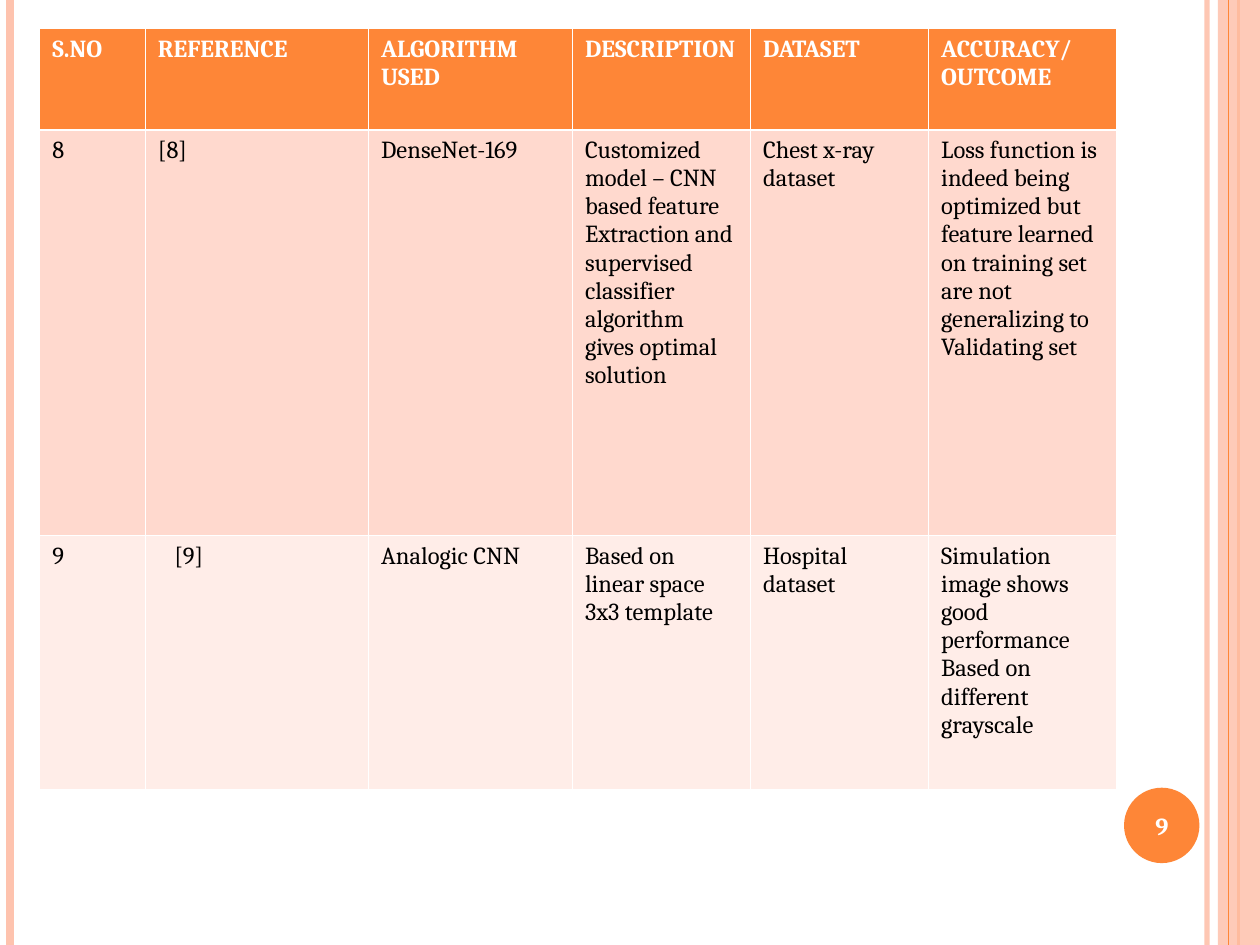
from lxml.etree import SubElement
from pptx import Presentation
from pptx.dml.color import RGBColor
from pptx.enum.shapes import MSO_CONNECTOR, MSO_SHAPE
from pptx.enum.text import MSO_ANCHOR, PP_ALIGN
from pptx.oxml.ns import qn
from pptx.util import Cm, Pt

ORANGE = RGBColor(0xFE, 0x86, 0x37)
PEACH = RGBColor(0xFE, 0xC3, 0xAE)
ROSE = RGBColor(0xFF, 0xD9, 0xCE)
BLUSH = RGBColor(0xFF, 0xED, 0xE8)
WHITE = RGBColor(0xFF, 0xFF, 0xFF)
BLACK = RGBColor(0, 0, 0)

FONT = "Cambria"
THIN, THICK = 0.45, 1.47
COLUMN_WIDTHS = [2.13, 4.5, 4.11, 3.59, 3.59, 3.78]
ROW_HEIGHTS = [2.04, 8.18, 5.11]
ROW_FILLS = [ORANGE, ROSE, BLUSH]
ROWS = [
    ["S.NO", "REFERENCE", "ALGORITHM USED", "DESCRIPTION", "DATASET",
     "ACCURACY/OUTCOME"],
    ["8", "[8]", "DenseNet-169",
     "Customized model – CNN based feature Extraction and supervised "
     "classifier algorithm gives optimal solution",
     "Chest x-ray dataset",
     "Loss function is indeed being optimized but feature learned on "
     "training set are not generalizing to Validating set"],
    ["9", "[9]", "Analogic CNN", "Based on linear space 3x3 template",
     "Hospital dataset",
     "Simulation image shows good performance\nBased on different grayscale"],
]


def set_opacity(fill_parent, percent):
    color = next(fill_parent.iter(qn("a:srgbClr")))
    SubElement(color, qn("a:alpha")).set("val", str(percent * 1000))


def style_paragraph(paragraph, color, bold):
    font = paragraph.font
    font.name, font.size, font.bold = FONT, Pt(14), bold
    font.color.rgb = color


def add_vertical_line(slide, x, top, height, color, width, opacity=100):
    line = slide.shapes.add_connector(
        MSO_CONNECTOR.STRAIGHT, Cm(x), Cm(top), Cm(x), Cm(top + height))
    line.line.color.rgb = color
    line.line.width = Pt(width)
    properties = line._element.spPr
    if opacity < 100:
        set_opacity(properties, opacity)
    SubElement(properties, qn("a:effectLst"))


def add_filled_shape(slide, kind, left, top, width, height, color):
    shape = slide.shapes.add_shape(
        kind, Cm(left), Cm(top), Cm(width), Cm(height))
    shape.shadow.inherit = False
    shape.fill.solid()
    shape.fill.fore_color.rgb = color
    shape.line.fill.background()
    return shape


def add_side_bands(slide, left, top, width, height):
    right = left + width
    add_vertical_line(slide, right - 1.07, top, height, PEACH, 3, 93)
    add_vertical_line(slide, left + 0.21, top, height, PEACH, 4.5)
    add_vertical_line(slide, right - 0.43, top, height, ORANGE, 1.5)
    band = add_filled_shape(
        slide, MSO_SHAPE.RECTANGLE, right - 0.85, top, 0.85, height, PEACH)
    set_opacity(band._element.spPr, 87)
    add_vertical_line(slide, right - 0.64, top, height, ORANGE, 0.75)


def set_borders(cell, top_width, bottom_width):
    properties = cell._tc.get_or_add_tcPr()
    widths = {"lnL": THIN, "lnR": THIN, "lnT": top_width, "lnB": bottom_width}
    for side, width in widths.items():
        border = SubElement(properties, qn(f"a:{side}"), w=str(Pt(width)))
        fill = SubElement(border, qn("a:solidFill"))
        SubElement(fill, qn("a:srgbClr"), val=str(WHITE))


def add_literature_table(slide, left, top):
    table = slide.shapes.add_table(
        len(ROWS), len(COLUMN_WIDTHS), Cm(left), Cm(top),
        Cm(sum(COLUMN_WIDTHS)), Cm(sum(ROW_HEIGHTS))).table
    for column, width in zip(table.columns, COLUMN_WIDTHS):
        column.width = Cm(width)
    for row_index, (row, height) in enumerate(zip(table.rows, ROW_HEIGHTS)):
        row.height = Cm(height)
        is_header = row_index == 0
        for cell, text in zip(row.cells, ROWS[row_index]):
            set_borders(cell, THICK if row_index == 1 else THIN,
                        THICK if is_header else THIN)
            cell.fill.solid()
            cell.fill.fore_color.rgb = ROW_FILLS[row_index]
            cell.text = text
            for paragraph in cell.text_frame.paragraphs:
                paragraph.alignment = (
                    PP_ALIGN.JUSTIFY if is_header else PP_ALIGN.LEFT)
                style_paragraph(
                    paragraph, WHITE if is_header else BLACK, is_header)
    indented = table.cell(2, 1).text_frame.paragraphs[0]
    indented._p.get_or_add_pPr().set("marL", str(Cm(0.33)))


def add_page_number(slide, left, top, diameter, number):
    add_filled_shape(
        slide, MSO_SHAPE.OVAL, left, top, diameter, diameter, ORANGE)
    box = slide.shapes.add_textbox(
        Cm(left - 0.08), Cm(top + 0.04), Cm(diameter + 0.17),
        Cm(diameter - 0.08))
    frame = box.text_frame
    frame.word_wrap = True
    frame.vertical_anchor = MSO_ANCHOR.MIDDLE
    frame.text = number
    paragraph = frame.paragraphs[0]
    paragraph.alignment = PP_ALIGN.CENTER
    style_paragraph(paragraph, WHITE, True)


def main():
    presentation = Presentation()
    presentation.slide_width = Cm(25.4)
    presentation.slide_height = Cm(19.05)
    slide = presentation.slides.add_slide(presentation.slide_layouts[6])
    add_side_bands(slide, 0, 0, 25.4, 19.05)
    add_literature_table(slide, 0.8, 0.58)
    add_page_number(slide, 22.66, 15.88, 1.52, "9")
    presentation.save("out.pptx")


if __name__ == "__main__":
    main()
